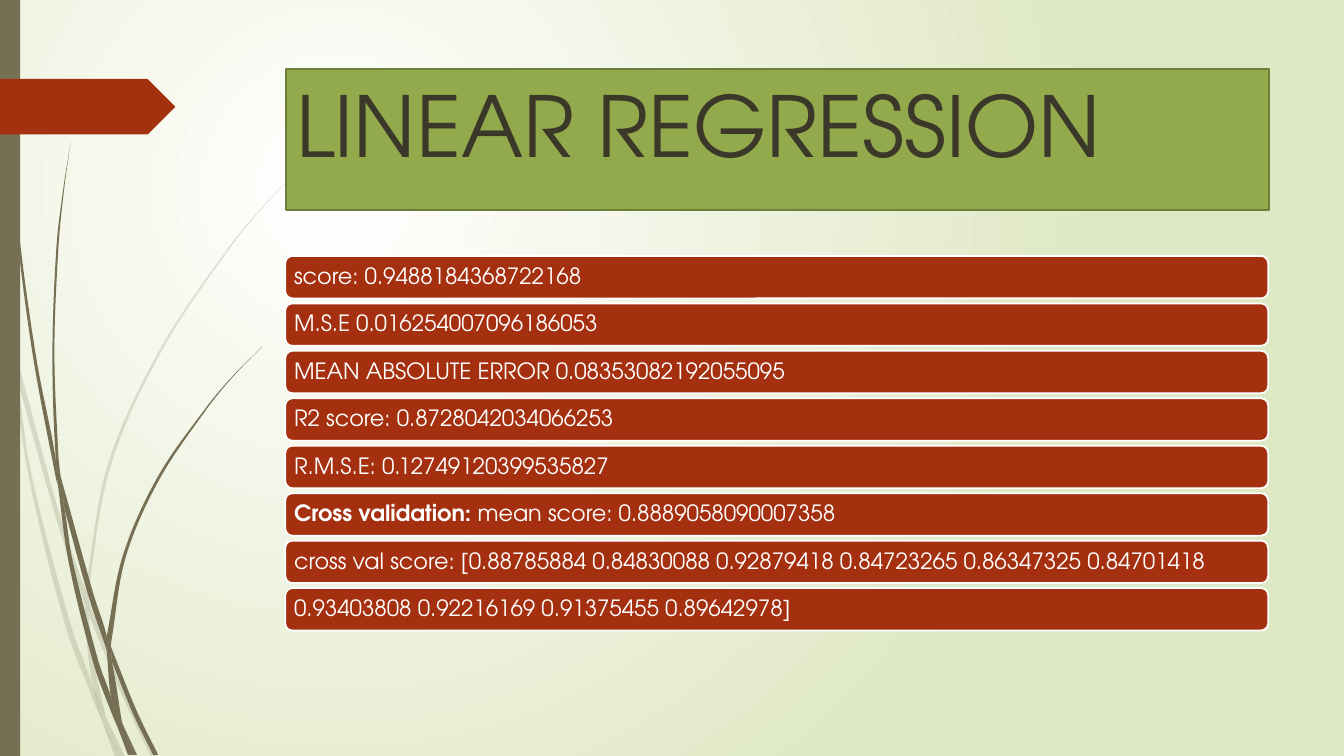
import math

import pptx
import pptx.util
import pptx.dml.color
import pptx.enum.shapes
import pptx.enum.text
import pptx.oxml
import pptx.oxml.ns
from pptx.util import Cm, Pt

FONT = "TeX Gyre Adventor"
COLORS = {
    "white": "FFFFFF", "glow": "DFE8C4", "stem": "766F54", "red": "A53010",
    "green": "92AA4C", "green_edge": "6C7E38", "title": "3B382A",
}

TITLE = "LINEAR REGRESSION"
# Each row is a list of (text, bold) runs
RESULTS = [
    [("score: 0.9488184368722168", False)],
    [("M.S.E 0.016254007096186053", False)],
    [("MEAN ABSOLUTE ERROR 0.08353082192055095", False)],
    [("R2 score: 0.8728042034066253", False)],
    [("R.M.S.E: 0.12749120399535827", False)],
    [("Cross validation: ", True), ("mean score: 0.8889058090007358", False)],
    [("cross val score: [0.88785884 0.84830088 0.92879418 0.84723265 "
      "0.86347325 0.84701418", False)],
    [("0.93403808 0.92216169 0.91375455 0.89642978]", False)],
]

# Pieces of grass: right edge and left edge, both downwards, in GRASS_UNIT
GRASS_UNIT = Cm(0.0254)
PALE_GRASS = [
    ([(0, 282), (9, 322), (11, 350)], [(0, 299), (10, 344), (11, 350)]),
    ([(14, 345), (62, 520), (85, 586)], [(17, 376), (58, 522), (84, 599)]),
    ([(88, 596), (92, 607), (127, 692), (155, 751)], [(88, 610), (123, 694), (150, 751)]),
    ([(105, 711), (124, 751)], [(105, 711), (119, 751)]),
    ([(11, 350), (17, 376), (31, 469), (70, 619), (93, 683), (101, 714)],
     [(11, 350), (28, 470), (65, 621), (92, 693), (101, 714)]),
    ([(84, 599), (88, 610), (91, 646), (105, 711)],
     [(84, 599), (87, 646), (93, 683), (105, 711)]),
    ([(312, 153), (268, 198), (229, 245), (160, 349), (110, 462), (88, 584), (88, 596)],
     [(312, 153), (268, 197), (228, 244), (158, 348), (107, 461), (85, 584), (85, 586)]),
    ([(101, 714), (119, 751)], [(101, 714), (114, 751)]),
    ([(85, 586), (88, 596), (88, 610)], [(85, 586), (84, 599), (88, 608)]),
    ([(93, 683), (105, 711), (119, 751)], [(93, 683), (101, 714), (119, 751)]),
]
DARK_GRASS = [
    ([(4, 0), (8, 109), (19, 232), (36, 355), (55, 453), (57, 481)],
     [(3, 0), (7, 110), (17, 233), (33, 355), (56, 477), (57, 481)]),
    ([(60, 472), (93, 590), (106, 631), (106, 645)], [(64, 505), (88, 592), (106, 645)]),
    ([(110, 641), (113, 649), (136, 706), (157, 749)],
     [(111, 656), (132, 708), (152, 749)]),
    ([(57, 477), (64, 505), (72, 556), (98, 657), (110, 691), (117, 722)],
     [(57, 477), (68, 557), (93, 659), (111, 708), (117, 722)]),
    ([(70, 141), (63, 193), (58, 245), (54, 349), (58, 453), (60, 472)],
     [(70, 141), (62, 193), (56, 245), (52, 349), (55, 449), (60, 472)]),
    ([(122, 719), (136, 749)], [(122, 719), (133, 749)]),
    ([(55, 449), (60, 472), (64, 505)], [(55, 449), (57, 477), (64, 505)]),
    ([(260, 344), (231, 374), (205, 406), (158, 476), (125, 552), (111, 633), (110, 641)],
     [(260, 344), (231, 373), (204, 405), (156, 474), (122, 551), (106, 631)]),
    ([(117, 722), (131, 749)], [(117, 722), (127, 749)]),
    ([(106, 645), (111, 656), (121, 716), (122, 719)],
     [(106, 645), (110, 691), (116, 706), (122, 719)]),
    ([(106, 631), (110, 641), (111, 656)], [(106, 631), (106, 645), (111, 656)]),
    ([(110, 691), (122, 719), (133, 749)], [(110, 691), (117, 722), (130, 749)]),
]

TITLE_BOX = Cm(7.21), Cm(1.73), Cm(24.77), Cm(3.56)
ROW_LEFT, ROW_WIDTH, ROW_HEIGHT = Cm(7.19), Cm(24.77), Cm(1.07)
FIRST_ROW_TOP, LAST_ROW_TOP = Cm(6.45), Cm(14.82)


def qn(tag):
    return pptx.oxml.ns.qn(tag)


def a_element(name, attributes, children=""):
    return pptx.oxml.parse_xml(
        f'<a:{name} {pptx.oxml.ns.nsdecls("a")} {attributes}>{children}</a:{name}>')


def rgb(name):
    return pptx.dml.color.RGBColor.from_string(COLORS[name])


def paint(sp, fill, line=None):
    sp.fill.solid()
    sp.fill.fore_color.rgb = rgb(fill)
    if line:
        sp.line.color.rgb = rgb(line)
        sp.line.width = Pt(1.25)
    else:
        sp.line.fill.background()


def add_run(p, text, size, color, bold=False):
    r = p.add_run()
    r.text = text
    r.font.name = FONT
    r.font.size = Pt(size)
    r.font.bold = bold
    r.font.color.rgb = rgb(color)


def curve_through(points):
    """Return one (handle, handle, end) per gap of a smooth curve."""
    padded = [points[0], *points, points[-1]]
    segments = []
    for before, start, end, after in zip(padded, padded[1:], padded[2:], padded[3:]):
        reach = math.dist(start, end) / 3
        k1 = reach / math.dist(before, end)
        k2 = reach / math.dist(start, after)
        segments.append((
            tuple(p + (n - b) * k1 for p, n, b in zip(start, end, before)),
            tuple(p - (n - b) * k2 for p, n, b in zip(end, after, start)),
            end))
    return segments


def add_grass(s, right_edge, left_edge, opacity):
    upwards = left_edge[::-1]
    joint = [] if upwards[0] == right_edge[-1] else [(right_edge[-1], upwards[0], upwards[0])]
    segments = curve_through(right_edge) + joint + curve_through(upwards)
    builder = s.shapes.build_freeform(*(v * GRASS_UNIT for v in right_edge[0]))
    builder.add_line_segments(
        [tuple(v * GRASS_UNIT for v in end) for *_, end in segments], close=True)
    sp = builder.convert_to_shape()
    sp.shadow.inherit = False
    paint(sp, "stem")
    for line, segment in zip(list(sp._element.iter(qn("a:lnTo"))), segments):
        points = "".join(
            f'<a:pt x="{round(x * GRASS_UNIT - sp.left)}" y="{round(y * GRASS_UNIT - sp.top)}"/>'
            for x, y in segment)
        line.getparent().replace(line, a_element("cubicBezTo", "", points))
    if opacity < 100:
        color = sp.fill._xPr.find(".//" + qn("a:srgbClr"))
        color.append(a_element("alpha", f'val="{opacity * 1000}"'))


def add_box(s, kind, left, top, width, height, fill, line=None):
    sp = s.shapes.add_shape(kind, left, top, width, height)
    sp.shadow.inherit = False
    paint(sp, fill, line)
    return sp


def set_background(s):
    fill = s.background.fill
    fill.gradient()
    for position, (stop, color) in enumerate(zip(fill.gradient_stops, ("white", "glow"))):
        stop.color.rgb = rgb(color)
        stop.position = position
    grad = s.background._cSld.find(".//" + qn("a:gradFill"))
    grad.replace(grad.find(qn("a:lin")), a_element(
        "path", 'path="circle"',
        '<a:fillToRect l="50000" t="50000" r="100000" b="100000"/>'))


def place_title(s):
    sp = s.shapes.title
    s.shapes._spTree.append(sp._element)  # in front of the grass
    sp.left, sp.top, sp.width, sp.height = TITLE_BOX
    paint(sp, "green", "green_edge")
    tf = sp.text_frame
    tf.word_wrap = True
    tf.auto_size = pptx.enum.text.MSO_AUTO_SIZE.NONE
    tf.vertical_anchor = pptx.enum.text.MSO_ANCHOR.TOP
    p = tf.paragraphs[0]
    p.alignment = pptx.enum.text.PP_ALIGN.LEFT
    add_run(p, TITLE, 60, "title")


def add_result(s, top, runs):
    sp = add_box(s, pptx.enum.shapes.MSO_SHAPE.ROUNDED_RECTANGLE,
                 ROW_LEFT, top, ROW_WIDTH, ROW_HEIGHT, "red", "white")
    tf = sp.text_frame
    tf.word_wrap = True
    tf.vertical_anchor = pptx.enum.text.MSO_ANCHOR.MIDDLE
    tf.margin_left = tf.margin_right = tf.margin_top = tf.margin_bottom = Cm(0.17)
    p = tf.paragraphs[0]
    p.alignment = pptx.enum.text.PP_ALIGN.LEFT
    p.line_spacing = 0.9
    for text, bold in runs:
        add_run(p, text, 16, "white", bold)


def main():
    prs = pptx.Presentation()
    prs.slide_width, prs.slide_height = Cm(33.87), Cm(19.05)
    s = prs.slides.add_slide(prs.slide_layouts.get_by_name("Title Only"))
    set_background(s)
    for pieces, opacity in ((PALE_GRASS, 20), (DARK_GRASS, 100)):
        for right_edge, left_edge in pieces:
            add_grass(s, right_edge, left_edge, opacity)
    shapes = pptx.enum.shapes.MSO_SHAPE
    add_box(s, shapes.RECTANGLE, 0, 0, Cm(0.51), prs.slide_height, "stem")
    add_box(s, shapes.PENTAGON, 0, Cm(1.99), Cm(4.42), Cm(1.4), "red")
    place_title(s)
    pitch = (LAST_ROW_TOP - FIRST_ROW_TOP) / (len(RESULTS) - 1)
    for index, runs in enumerate(RESULTS):
        add_result(s, round(FIRST_ROW_TOP + index * pitch), runs)
    prs.save("out.pptx")


if __name__ == "__main__":
    main()
